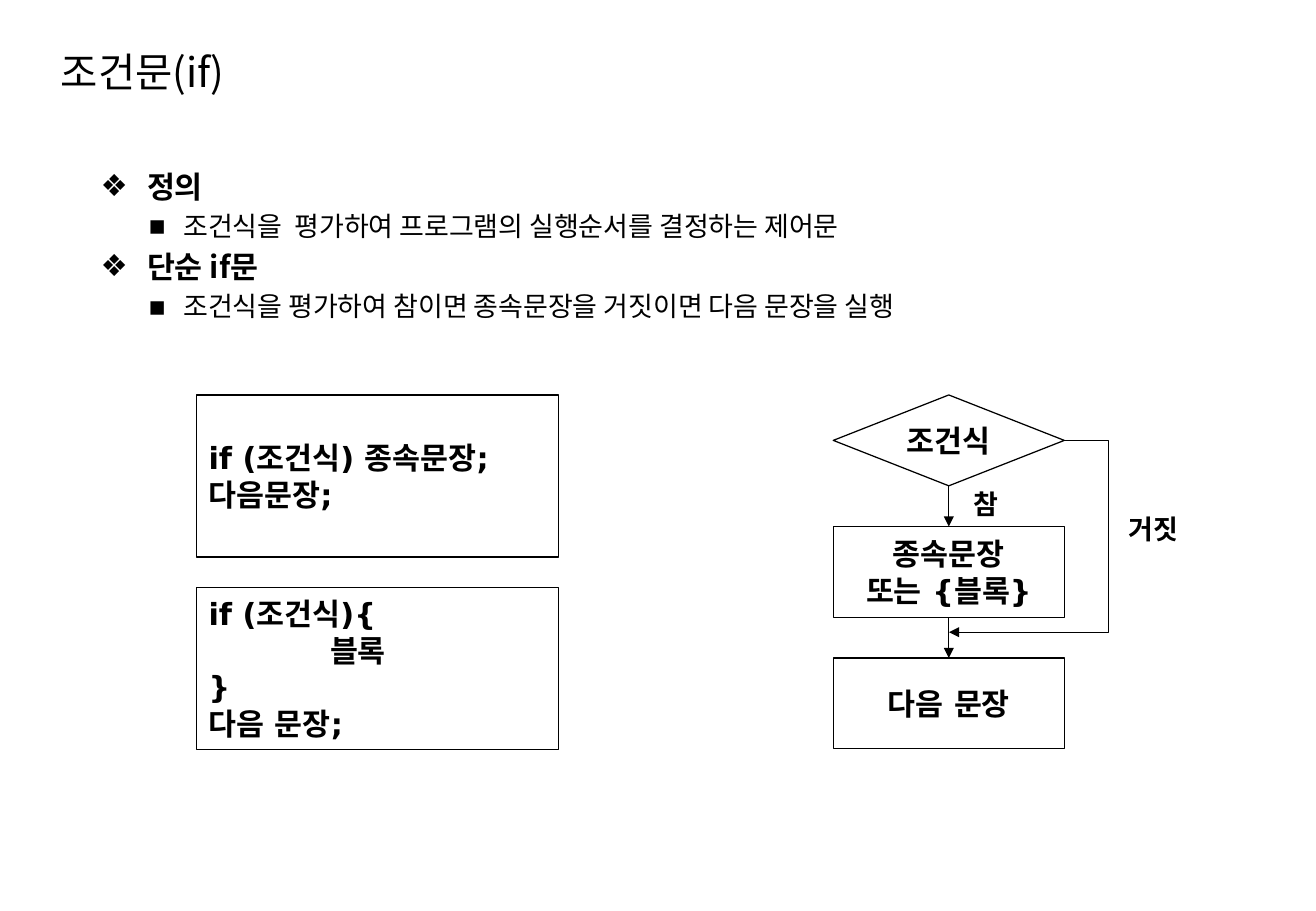
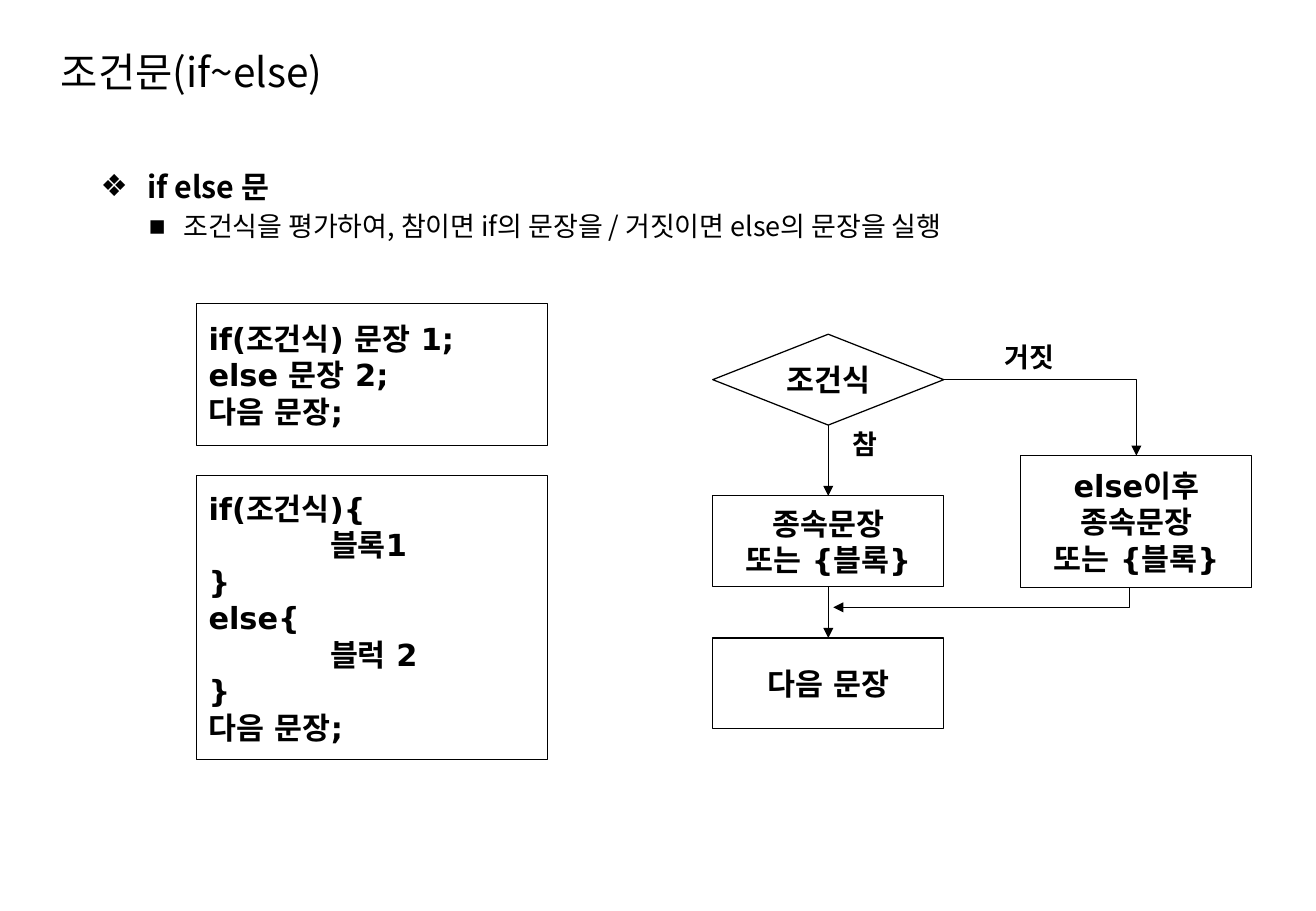
"""Build two slides on conditional statements with code boxes and flow charts."""
from dataclasses import dataclass

from pptx import Presentation
from pptx.dml.color import RGBColor
from pptx.enum.shapes import MSO_CONNECTOR, MSO_SHAPE
from pptx.enum.text import MSO_ANCHOR, MSO_AUTO_SIZE, PP_ALIGN
from pptx.oxml.ns import qn
from pptx.oxml.xmlchemy import OxmlElement
from pptx.util import Cm, Pt

BLACK = RGBColor(0, 0, 0)
SANS = "Noto Sans CJK KR"
CODE = "DejaVu Sans"
LEADING = 1.2
NODE_W, NODE_H = 4.83, 1.9
LABEL_H = 0.94
TOP, LEFT, BOTTOM, RIGHT = range(4)


@dataclass(frozen=True)
class Box:
    """A framed text, placed in centimetres."""

    text: str
    left: float
    top: float
    wide: float = NODE_W
    tall: float = NODE_H
    kind: MSO_SHAPE = MSO_SHAPE.FLOWCHART_PROCESS
    align: PP_ALIGN = PP_ALIGN.CENTER


@dataclass(frozen=True)
class Label:
    """A short caption beside an arrow."""

    text: str
    left: float
    top: float
    wide: float


@dataclass(frozen=True)
class Bullet:
    """The look of one list level."""

    mark: str
    size: int
    bold: bool
    margin: float
    hang: float


@dataclass(frozen=True)
class Page:
    """Everything that differs from slide to slide."""

    title: str
    points: tuple[tuple[int, str], ...]
    codes: tuple[Box, ...]
    left: float
    tops: tuple[float, float, float]
    false: Label
    route: tuple[tuple[float, float], ...]
    other: Box | None = None


BULLETS = (Bullet("❖", 18, True, 0.97, 0.97), Bullet("▪", 16, False, 1.73, 0.74))


def code(text: str, top: float, wide: float, tall: float) -> Box:
    """Describe a left-aligned code box."""
    return Box(text, 4.11, top, wide, tall, align=PP_ALIGN.LEFT)


PAGES = (
    Page(
        "조건문(if)",
        (
            (0, "정의"),
            (1, "조건식을  평가하여 프로그램의 실행순서를 결정하는 제어문"),
            (0, "단순 if문"),
            (1, "조건식을 평가하여 참이면 종속문장을 거짓이면 다음 문장을 실행"),
        ),
        (
            code("if (조건식) 종속문장;\n다음문장;", 8.26, 7.57, 3.39),
            code("if (조건식){\n\t블록\n}\n다음 문장;", 12.28, 7.57, 3.39),
        ),
        17.42,
        (8.26, 11.01, 13.76),
        Label("거짓", 23.29, 10.59, 1.63),
        ((22.24, 9.21), (23.17, 9.21), (23.17, 13.22), (19.84, 13.22)),
    ),
    Page(
        "조건문(if~else)",
        (
            (0, "if else 문"),
            (1, "조건식을 평가하여, 참이면 if의 문장을 / 거짓이면 else의 문장을 실행"),
        ),
        (
            code("if(조건식) 문장 1;\nelse 문장 2;\n다음 문장;", 6.35, 7.34, 2.97),
            code(
                "if(조건식){\n\t블록1\n}\nelse{\n\t블럭 2\n}\n다음 문장;",
                9.95, 7.34, 5.93,
            ),
        ),
        14.9,
        (6.99, 10.37, 13.34),
        Label("거짓", 20.7, 6.99, 1.63),
        ((23.62, 12.28), (23.62, 12.7), (17.42, 12.7)),
        Box("else이후\n종속문장\n또는 {블록}", 21.34, 9.53, tall=2.75),
    ),
)


def write(frame, text: str, *, size: int = 18, bold: bool = True,
          font: str = CODE, align: PP_ALIGN = PP_ALIGN.LEFT,
          fixed: bool = True, more: bool = False):
    """Write each line as a paragraph and return the last one."""
    for row, line in enumerate(text.split("\n")):
        para = frame.add_paragraph() if row or more else frame.paragraphs[0]
        para.alignment = align
        if fixed:
            para.line_spacing = Pt(size * LEADING)
        if line.startswith("\t"):
            indent(para, 2.54, 0)
        run = para.add_run()
        run.text = line.lstrip("\t")
        run.font.size, run.font.bold, run.font.name = Pt(size), bold, font
        run.font.color.rgb = BLACK
        east = OxmlElement("a:ea")
        east.set("typeface", font)
        run.font._element.append(east)
    return para


def indent(para, margin: float, hang: float) -> None:
    """Set the left margin and hanging indent of a paragraph."""
    props = para._p.get_or_add_pPr()
    props.set("marL", str(Cm(margin)))
    props.set("indent", str(-Cm(hang)))


def fill_list(frame, points: tuple[tuple[int, str], ...]) -> None:
    """Write the bulleted list."""
    for row, (level, text) in enumerate(points):
        look = BULLETS[level]
        para = write(frame, text, size=look.size, bold=look.bold, font=SANS,
                     more=row > 0)
        para.level = level
        para.space_before = Pt(look.size * 0.2)
        indent(para, look.margin, look.hang)
        for tag, key, value in (("a:buFont", "typeface", CODE),
                                ("a:buChar", "char", look.mark)):
            node = OxmlElement(tag)
            node.set(key, value)
            para._p.get_or_add_pPr().append(node)


def stroke(shape, arrow: bool = False) -> None:
    """Give a shape its thin black line and maybe an arrowhead."""
    shape.line.color.rgb = BLACK
    shape.line.width = Pt(0.75)
    if arrow:
        head = OxmlElement("a:tailEnd")
        head.set("type", "triangle")
        shape._element.spPr.find(qn("a:ln")).append(head)


def draw_box(slide, box: Box):
    """Draw a framed text."""
    shape = slide.shapes.add_shape(box.kind, Cm(box.left), Cm(box.top),
                                   Cm(box.wide), Cm(box.tall))
    shape.shadow.inherit = False
    shape.fill.background()
    stroke(shape)
    frame = shape.text_frame
    frame.vertical_anchor = MSO_ANCHOR.MIDDLE
    frame.word_wrap = True
    write(frame, box.text, align=box.align)
    return shape


def draw_label(slide, label: Label) -> None:
    """Draw a caption."""
    shape = slide.shapes.add_textbox(Cm(label.left), Cm(label.top),
                                     Cm(label.wide), Cm(LABEL_H))
    shape.text_frame.word_wrap = False
    write(shape.text_frame, label.text, size=16, align=PP_ALIGN.CENTER)


def join(slide, start, end, side: int = BOTTOM, bent: bool = False) -> None:
    """Join a side of one shape to the top of another with an arrow."""
    kind = MSO_CONNECTOR.ELBOW if bent else MSO_CONNECTOR.STRAIGHT
    link = slide.shapes.add_connector(kind, 0, 0, 0, 0)
    link.begin_connect(start, side)
    link.end_connect(end, TOP)
    if bent:
        link._element.spPr.find(qn("a:prstGeom")).set("prst", "bentConnector2")
    stroke(link, arrow=True)
    link._element.spPr.append(OxmlElement("a:effectLst"))


def draw_route(slide, points: tuple[tuple[float, float], ...]) -> None:
    """Draw an open angled arrow through the points."""
    first, *rest = [(Cm(x), Cm(y)) for x, y in points]
    pen = slide.shapes.build_freeform(*first)
    pen.add_line_segments(rest, close=False)
    shape = pen.convert_to_shape()
    shape.fill.background()
    shape.shadow.inherit = False
    stroke(shape, arrow=True)


def draw_flow(slide, page: Page) -> None:
    """Draw the flow chart of a page."""
    test, then, after = (
        draw_box(slide, Box(text, page.left, top, kind=kind))
        for text, top, kind in zip(
            ("조건식", "종속문장\n또는 {블록}", "다음 문장"),
            page.tops,
            (MSO_SHAPE.FLOWCHART_DECISION,) + (MSO_SHAPE.FLOWCHART_PROCESS,) * 2,
        )
    )
    join(slide, test, then)
    join(slide, then, after)
    if page.other:
        join(slide, test, draw_box(slide, page.other), RIGHT, bent=True)
    draw_route(slide, page.route)
    draw_label(slide, page.false)
    draw_label(slide, Label("참", page.left + 2.65,
                            page.tops[0] + NODE_H - 0.08, 1.07))


def place(shape, left: float, top: float, wide: float, tall: float) -> None:
    """Move and size a shape."""
    shape.left, shape.top = Cm(left), Cm(top)
    shape.width, shape.height = Cm(wide), Cm(tall)


def draw_page(deck, layout, page: Page) -> None:
    """Add one slide."""
    slide = deck.slides.add_slide(layout)
    title, body = slide.placeholders
    for holder, anchor in ((title, MSO_ANCHOR.MIDDLE), (body, MSO_ANCHOR.TOP)):
        holder.text_frame.auto_size = MSO_AUTO_SIZE.NONE
        holder.text_frame.vertical_anchor = anchor
    write(title.text_frame, page.title, size=24, bold=False, font=SANS,
          fixed=False)
    fill_list(body.text_frame, page.points)
    for box in page.codes:
        draw_box(slide, box)
    draw_flow(slide, page)


def main() -> None:
    """Build and save the deck."""
    deck = Presentation()
    deck.slide_width, deck.slide_height = Cm(27.51), Cm(19.05)
    layout = deck.slide_layouts[1]
    place(layout.placeholders[0], 1.02, 0.81, 15.9, 1.37)
    place(layout.placeholders[1], 1.85, 3.38, 23.7, 14.17)
    for page in PAGES:
        draw_page(deck, layout, page)
    deck.save("out.pptx")


if __name__ == "__main__":
    main()
